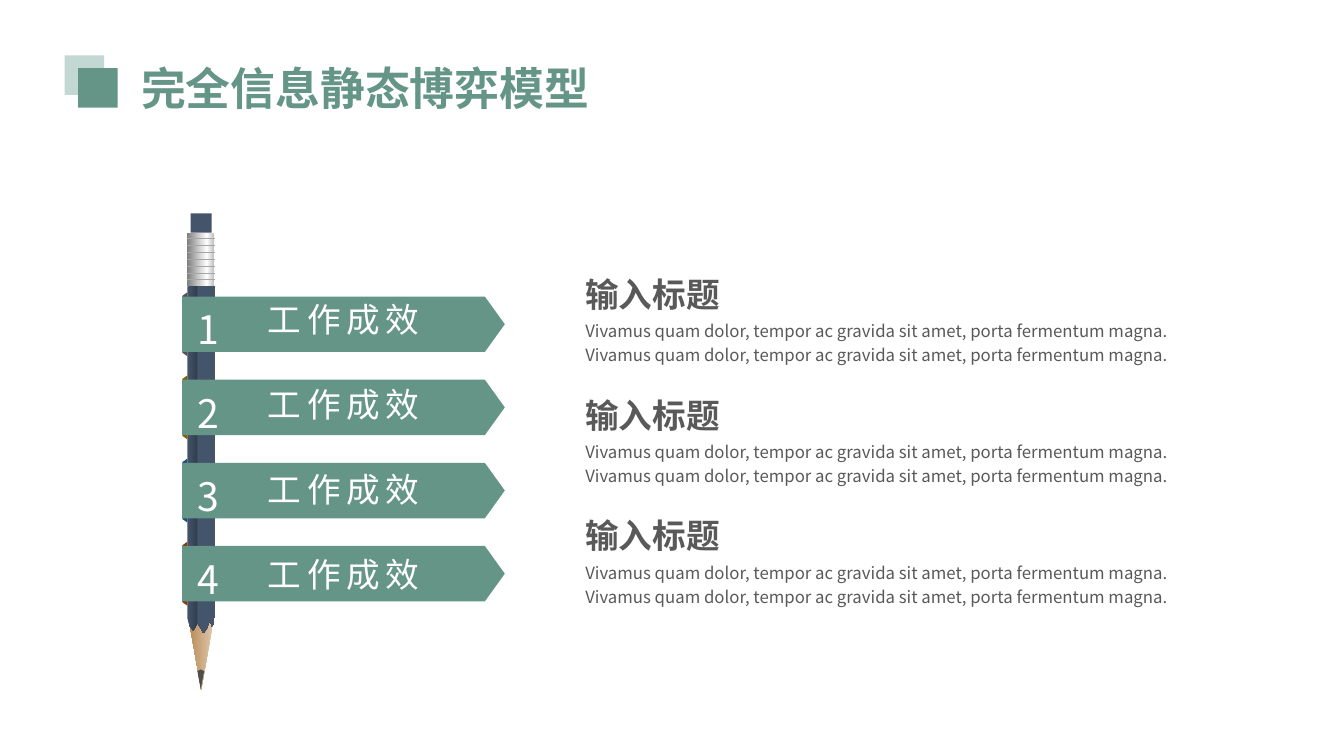
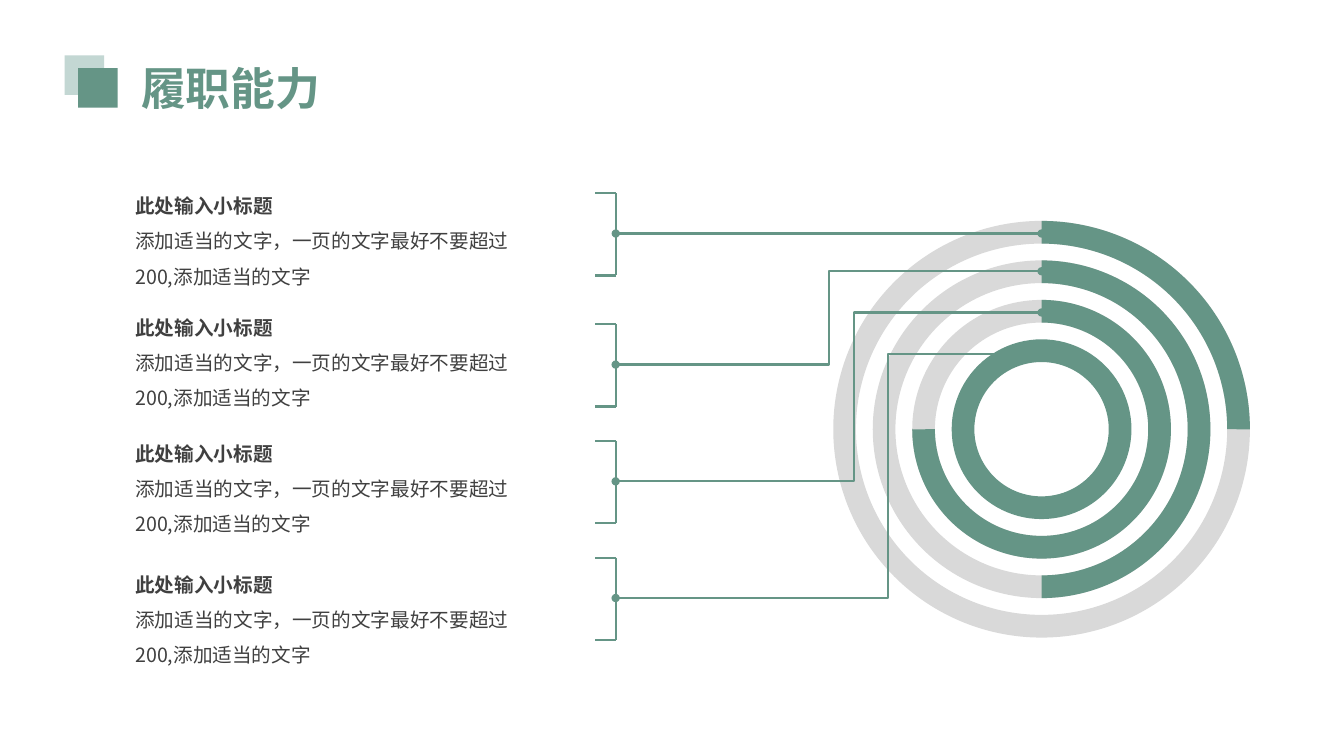
import pptx
import pptx.dml.color
import pptx.enum.shapes
import pptx.enum.text
import pptx.oxml.ns
import pptx.util
from lxml import etree

rgb = pptx.dml.color.RGBColor.from_string
qn = pptx.oxml.ns.qn
MSO = pptx.enum.shapes.MSO_SHAPE
LINE = pptx.enum.shapes.MSO_CONNECTOR
ALIGN = pptx.enum.text.PP_ALIGN

FONT = "Noto Sans CJK SC"
GREEN, PALE_GREEN, WHITE = "659586", "C3D7D3", "FFFFFF"
GREY, DARK, TRACK, NAVY = "595959", "404040", "D9D9D9", "44546A"

prs = pptx.Presentation()
prs.slide_width, prs.slide_height = pptx.util.Emu(12192000), pptx.util.Emu(6858000)
U = prs.slide_width // 1600  # the slide is a grid of 1600 columns by 900 rows


def draw(s, kind, box, *stops, angle=0, rot=0, adj=()):
    """Add a preset shape, or an outline through the points of box if kind is None.

    stops is one colour, or (position, colour) pairs of a gradient.
    """
    if kind is None:
        outline = s.shapes.build_freeform(*box[0], scale=U)
        outline.add_line_segments(box[1:])
        sp = outline.convert_to_shape()
    else:
        sp = s.shapes.add_shape(kind, *[v * U for v in box])
    sp.rotation = rot
    for i, value in enumerate(adj):
        sp.adjustments[i] = value
    sp.shadow.inherit = False
    sp.line.fill.background()
    if len(stops) == 1:
        sp.fill.solid()
        sp.fill.fore_color.rgb = rgb(stops[0])
        return
    sp.fill.gradient()
    sp.fill.gradient_angle = angle
    gs_list = sp._element.spPr.find(".//" + qn("a:gsLst"))
    gs_list.clear()
    for position, color in stops:
        gs = etree.SubElement(gs_list, qn("a:gs"), pos=str(position * 1000))
        etree.SubElement(gs, qn("a:srgbClr"), val=color)


def write(sp, lines, size, color, spacing=None, align=ALIGN.LEFT, tracking=0, inset=(12, 6)):
    """Fill a shape with (text, bold) paragraphs."""
    tf = sp.text_frame
    tf.word_wrap = True
    tf.auto_size = pptx.enum.text.MSO_AUTO_SIZE.NONE
    tf.vertical_anchor = pptx.enum.text.MSO_ANCHOR.TOP
    tf.margin_left = tf.margin_right = inset[0] * U
    tf.margin_top = tf.margin_bottom = inset[1] * U
    for i, (text, bold) in enumerate(lines):
        p = tf.add_paragraph() if i else tf.paragraphs[0]
        p.alignment = align
        if spacing:
            p.line_spacing = spacing
        r = p.add_run()
        r.text = text
        r.font.size, r.font.bold = pptx.util.Pt(size), bold
        r.font.color.rgb = rgb(color)
        r.font.name = FONT
        rPr = r._r.get_or_add_rPr()
        etree.SubElement(rPr, qn("a:ea"), typeface=FONT)
        if tracking:
            rPr.set("spc", str(tracking * 100))


# Shared title and square mark
slides = []
for title in ("完全信息静态博弈模型", "履职能力"):
    s = prs.slides.add_slide(prs.slide_layouts[5])
    slides.append(s)
    draw(s, MSO.RECTANGLE, (77, 66, 47, 47), PALE_GREEN)
    draw(s, MSO.RECTANGLE, (93, 81, 47, 47), GREEN)
    sp = s.shapes.title
    sp.left, sp.top, sp.width, sp.height = 156 * U, 66 * U, 1200 * U, 77 * U
    write(sp, [(title, True)], 32, GREEN)
pencil_slide, rings_slide = slides
connectors = []  # slide, kind, ends, colour, width, bend, dotted ends

# Pencil
s = pencil_slide
draw(s, MSO.PENTAGON, (195, 761, 89, 31), (0, "E1C9AF"), (100, "B88954"),
     angle=270, rot=90, adj=[2.82])
body = [(223, 341), (256, 341), (256, 733), (254, 743), (252, 746), (250, 738), (246, 749),
        (242, 754), (239, 748), (235, 742), (233, 746), (230, 751), (226, 746), (223, 736)]
draw(s, None, body, (0, NAVY), (34, "333F50"), (38, NAVY), (100, NAVY))
draw(s, MSO.RECTANGLE, (223, 277, 32, 64), (0, "BFBFBF"), (27, "FFFFFF"), (100, "808080"),
     angle=180)
draw(s, MSO.RECTANGLE, (227, 254, 25, 23), NAVY)
draw(s, None, [(239, 797), (243, 799), (239, 821), (235, 799)], "4C504C")
for i in range(7):
    y = 284 + round(8.2 * i)
    connectors.append((s, LINE.STRAIGHT, (223, y, 256, y), "A6A6A6", 0.5, None, False))

# Numbered banners folded round the pencil
for i, fold in enumerate(("525252", "806000", "1F4E79", "843C0B")):
    drop = 99 * i
    draw(s, MSO.TRAPEZOID, (182, 383 + drop, 76, 6), fold, rot=270, adj=[0.7])
    draw(s, MSO.PENTAGON, (217, 353 + drop, 384, 66), GREEN, adj=[0.36])
    sp = s.shapes.add_textbox(223 * U, (358 + drop) * U, 50 * U, 68 * U)
    write(sp, [(str(i + 1), False)], 28, WHITE)
    sp = s.shapes.add_textbox(288 * U, (356 + 101 * i) * U, 242 * U, 48 * U)
    write(sp, [("工作成效", False)], 24, WHITE, align=ALIGN.CENTER, tracking=4, inset=(0, 0))

# Headed texts on the right
sentence = "Vivamus quam dolor, tempor ac gravida sit amet, porta fermentum magna."
for i in range(3):
    for y, text, size, bold in ((310, "输入标题", 24, True),
                                (371, f"{sentence} {sentence}", 12, False)):
        sp = s.shapes.add_textbox(685 * U, (y + 144 * i) * U, 781 * U, 68 * U)
        write(sp, [(text, bold)], size, GREY, spacing=1.2)

# Progress rings, each a quarter turn further than the one outside it
s = rings_slide
for i in range(4):
    radius = 248 - 47 * i
    box = (1240 - radius, 511 - radius, 2 * radius, 2 * radius)
    thickness = 27 / (2 * radius)
    draw(s, MSO.DONUT, box, TRACK if i < 3 else GREEN, adj=[thickness])
    if i < 3:
        # angles are stored in 1/0.6 degrees
        draw(s, MSO.BLOCK_ARC, box, GREEN, adj=[270 * 0.6, 90 * i * 0.6, thickness])

# Texts with brackets, led to their rings
rows = [(209, 230, 278, None), (354, 386, 323, 0.5), (504, 525, 372, 0.44), (660, 664, 422, 0.36)]
for text_y, top, ring_y, bend in rows:
    sp = s.shapes.add_textbox(145 * U, text_y * U, 522 * U, 139 * U)
    write(sp, [("此处输入小标题", True), ("添加适当的文字，一页的文字最好不要超过200,添加适当的文字", False)],
          14, DARK, spacing=1.5, inset=(16, 8))
    bottom = top + 98
    for ends in ((733, top, 733, bottom), (733, top, 708, top), (733, bottom, 708, bottom)):
        connectors.append((s, LINE.STRAIGHT, ends, GREEN, 1.5, None, False))
    kind = LINE.ELBOW if bend else LINE.STRAIGHT
    connectors.append((s, kind, (1240, ring_y, 733, top + 48), GREEN, 1.5, bend, True))

for s, kind, ends, color, width, bend, dotted in connectors:
    c = s.shapes.add_connector(kind, *[v * U for v in ends])
    c.line.color.rgb = rgb(color)
    c.line.width = pptx.util.Pt(width)
    spPr = c._element.spPr
    if dotted:
        for end in ("a:headEnd", "a:tailEnd"):
            etree.SubElement(spPr.find(qn("a:ln")), qn(end), type="oval")
    if bend:
        etree.SubElement(spPr.find(".//" + qn("a:avLst")), qn("a:gd"),
                         name="adj1", fmla=f"val {round(bend * 100000)}")
    etree.SubElement(spPr, qn("a:effectLst"))

prs.save("out.pptx")
